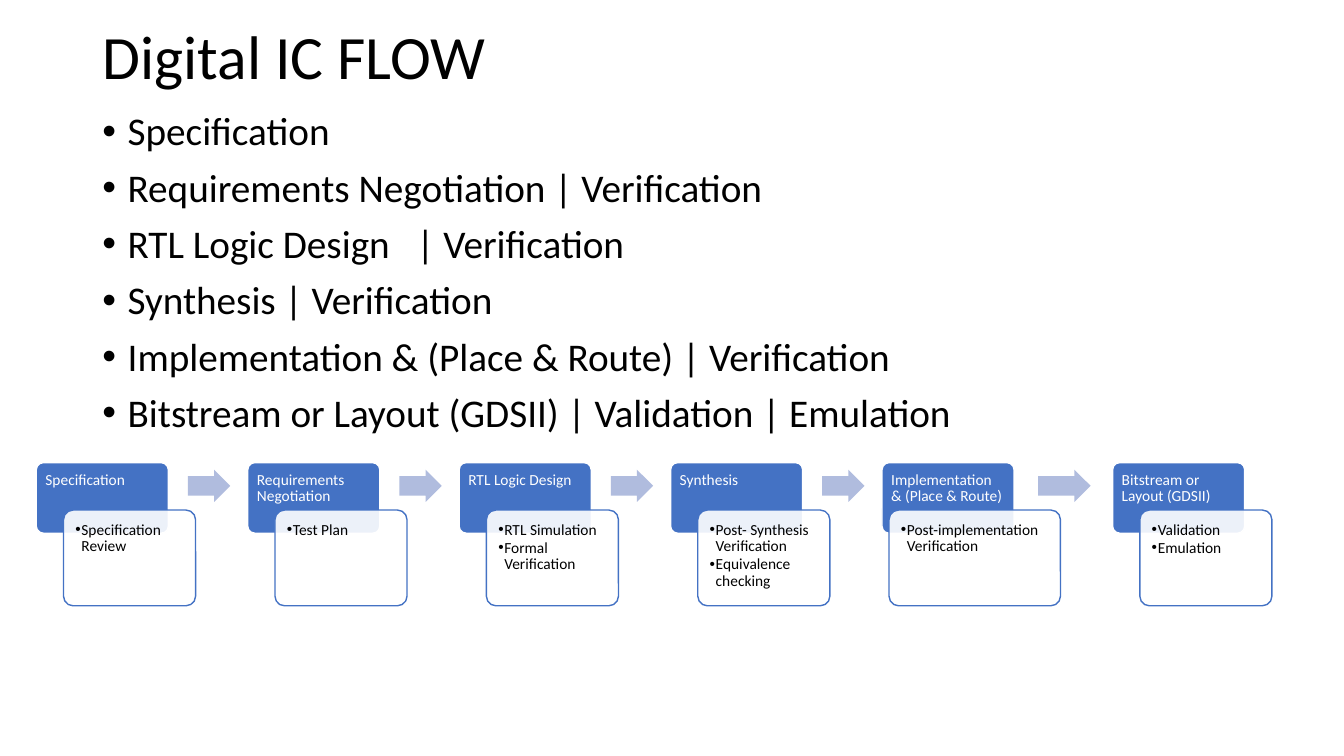
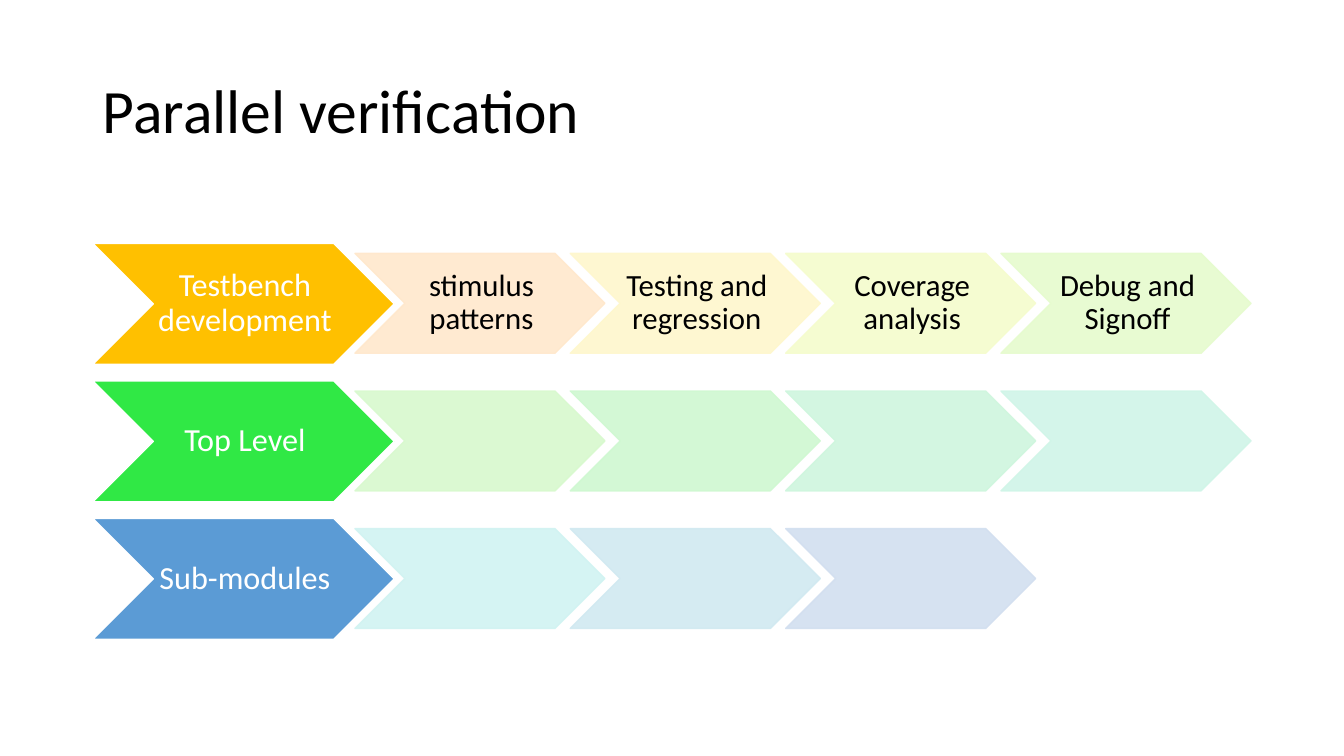
from lxml import etree
from pptx import Presentation
from pptx import util as u
from pptx.dml.color import RGBColor
from pptx.enum import shapes, text
from pptx.oxml.ns import qn

PX = 9144  # one hundredth of an inch, in EMU
FONT = "Calibri"
COLORS = {
    "black": "000000",
    "white": "FFFFFF",
    "blue": "4472C4",
    "arrow": "B0BCDE",
    "amber": "FFC000",
    "green": "30E845",
    "sky": "5B9BD5",
}
KIND = shapes.MSO_SHAPE
TOP, MIDDLE = text.MSO_ANCHOR.TOP, text.MSO_ANCHOR.MIDDLE
LEFT, CENTER = text.PP_ALIGN.LEFT, text.PP_ALIGN.CENTER


def write(box, lines, size, color="black", align=LEFT, anchor=TOP,
          insets=(10, 5, 10, 5), before=0, after=0, indent=0, bullet=None):
    """Fill a shape or placeholder with one paragraph per line."""
    frame = box.text_frame
    frame.word_wrap = True
    frame.auto_size = text.MSO_AUTO_SIZE.NONE
    frame.vertical_anchor = anchor
    (frame.margin_left, frame.margin_top,
     frame.margin_right, frame.margin_bottom) = [inset * PX for inset in insets]
    for number, line in enumerate(lines):
        para = frame.add_paragraph() if number else frame.paragraphs[0]
        para.alignment = align
        para.line_spacing = 0.9
        para.space_before, para.space_after = u.Pt(before), u.Pt(after)
        span = para.add_run()
        span.text = line
        span.font.name, span.font.size = FONT, u.Pt(size)
        span.font.color.rgb = RGBColor.from_string(COLORS[color])
        if indent:
            props = para._p.get_or_add_pPr()
            props.set("marL", str(indent * PX))
            props.set("indent", str(-indent * PX))
            if bullet:
                etree.SubElement(props, qn("a:buFont")).set("typeface", "Arial")
                etree.SubElement(props, qn("a:buChar")).set("char", bullet)


def add_block(page, kind, place, fill, line=None, fill_alpha=100, line_alpha=100):
    """Add a flat preset shape at (left, top, width, height) in px."""
    block = page.shapes.add_shape(kind, *[round(length * PX) for length in place])
    block.shadow.inherit = False
    block.fill.solid()
    block.fill.fore_color.rgb = RGBColor.from_string(fill)
    if line:
        block.line.color.rgb = RGBColor.from_string(line)
        block.line.width = u.Pt(1)
    else:
        block.line.fill.background()
    props = block._element.spPr
    for trail, alpha in (("a:solidFill", fill_alpha), ("a:ln/a:solidFill", line_alpha)):
        paint = props.find("/".join(qn(tag) for tag in trail.split("/")))
        if paint is not None and alpha < 100:
            etree.SubElement(paint[0], qn("a:alpha")).set("val", str(alpha * 1000))
    return block


deck = Presentation()
deck.slide_width, deck.slide_height = 1333 * PX, 750 * PX

pages = []
for layout, heading, top, height in (
    (1, "Digital IC FLOW", 13, 93),
    (5, "Parallel verification", 40, 145),
):
    page = deck.slides.add_slide(deck.slide_layouts[layout])
    title = page.shapes.title
    title.left, title.top, title.width, title.height = 92 * PX, top * PX, 1150 * PX, height * PX
    write(title, [heading], 44, anchor=MIDDLE)
    pages.append(page)
flow_page, parallel_page = pages

# Slide 1: list of stages, then the same stages as a process
body = flow_page.placeholders[1]
body.left, body.top, body.width, body.height = round(91.6 * PX), 106 * PX, 1150 * PX, 476 * PX
write(body, [
    "Specification",
    "Requirements Negotiation | Verification",
    "RTL Logic Design   | Verification",
    "Synthesis | Verification",
    "Implementation & (Place & Route) | Verification",
    "Bitstream or Layout (GDSII) | Validation | Emulation",
], 28, before=10, indent=25)

STAGES = [
    ("Specification", ["Specification Review"], 131),
    ("Requirements Negotiation", ["Test Plan"], 131),
    ("RTL Logic Design", ["RTL Simulation", "Formal Verification"], 131),
    ("Synthesis", ["Post- Synthesis Verification", "Equivalence checking"], 131),
    ("Implementation & (Place & Route)", ["Post-implementation Verification"], 170),
    ("Bitstream or Layout (GDSII)", ["Validation", "Emulation"], 131),
]
HEAD_WIDTH, STAGE_GAP = 131, 51.7
head_left = 36
for number, (name, checks, card_width) in enumerate(STAGES, 1):
    card_left = head_left + 92 - card_width // 2
    head = add_block(flow_page, KIND.ROUNDED_RECTANGLE, (head_left, 459, HEAD_WIDTH, 70),
                     COLORS["blue"], COLORS["white"])
    card = add_block(flow_page, KIND.ROUNDED_RECTANGLE, (card_left, 506, card_width, 95),
                     COLORS["white"], COLORS["blue"], fill_alpha=90)
    head.adjustments[0] = card.adjustments[0] = 0.1
    write(head, [name], 11, "white", insets=(7, 7, 7, 3))
    write(card, checks, 11, insets=(9, 9, 9, 9), after=1, indent=6, bullet="•")

    next_left = card_left + card_width + STAGE_GAP
    if number < len(STAGES):
        space = next_left - head_left - HEAD_WIDTH
        arrow_width = round(space * 0.53)
        arrow_left = head_left + HEAD_WIDTH + (space - arrow_width) / 2 + 1
        arrow = add_block(flow_page, KIND.RIGHT_ARROW, (arrow_left, 466, arrow_width, 32),
                          COLORS["arrow"])
        arrow.adjustments[0], arrow.adjustments[1] = 0.6, 0.5
    head_left = next_left

# Slide 2: rows of chevrons
ROWS = [
    ("Testbench development", "amber", [
        ("FFE8CC", "stimulus patterns"), ("FEF7CD", "Testing and regression"),
        ("F5FCCD", "Coverage analysis"), ("E6FBCE", "Debug and Signoff")]),
    ("Top Level", "green", [
        ("D8F9CE", ""), ("CFF8D1", ""), ("CFF6DE", ""), ("D0F5E8", "")]),
    ("Sub-modules", "sky", [
        ("D1F3F2", ""), ("D1E9F1", ""), ("D2DFF0", "")]),
]
chevron_text = {"align": CENTER, "anchor": MIDDLE, "insets": (3, 2, 0, 2)}
for row, (name, color, steps) in enumerate(ROWS):
    row_top = 241.4 + 136.5 * row
    lead = add_block(parallel_page, KIND.CHEVRON, (92, row_top, 299, 120),
                     COLORS[color], COLORS["white"])
    write(lead, [name], 23, "white", **chevron_text)
    for column, (tint, label) in enumerate(steps):
        step = add_block(parallel_page, KIND.CHEVRON,
                         (352 + 213.6 * column, row_top + 10, 248, 99),
                         tint, tint, fill_alpha=90, line_alpha=90)
        if label:
            write(step, [label], 22, **chevron_text)

deck.save("out.pptx")
